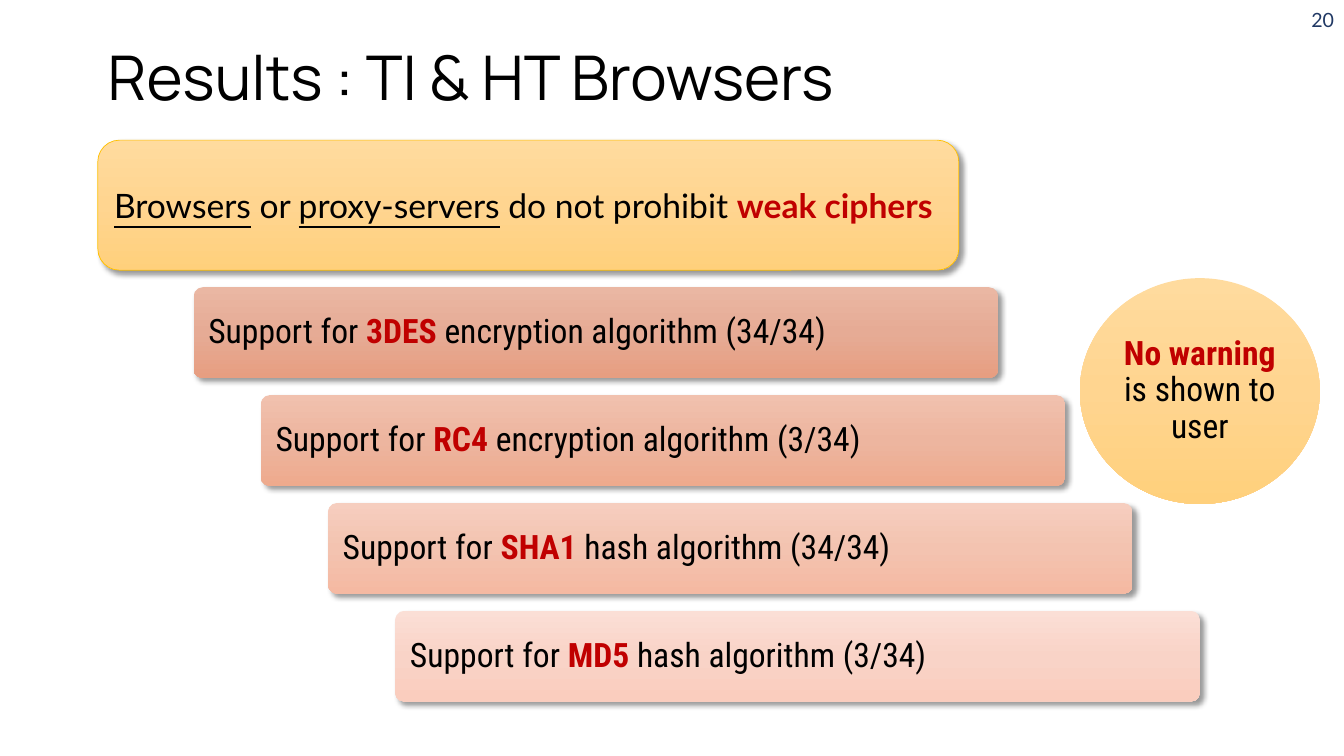
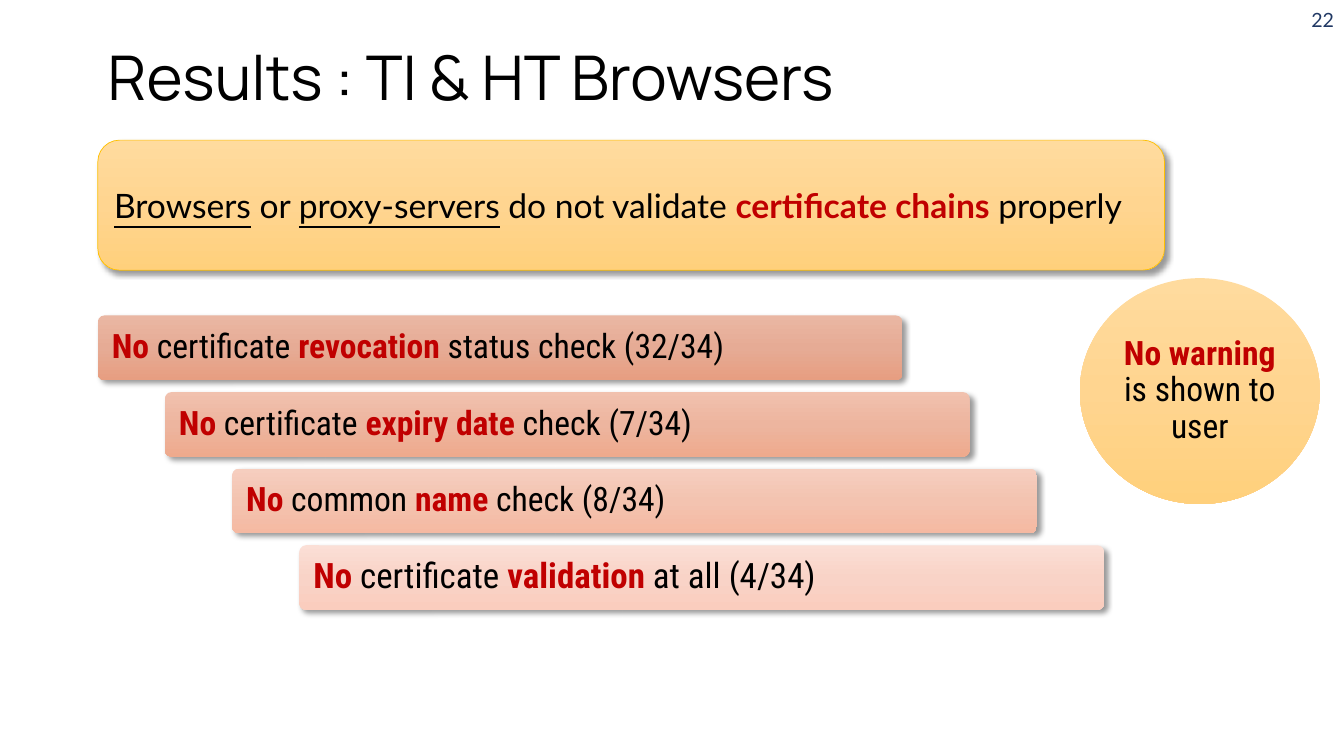
import pptx
import pptx.util
import pptx.dml.color
import pptx.enum.shapes
import pptx.enum.text
import pptx.oxml
import pptx.oxml.ns

Inches = pptx.util.Inches
RGBColor = pptx.dml.color.RGBColor
SHAPE = pptx.enum.shapes.MSO_SHAPE
ALIGN = pptx.enum.text.PP_ALIGN

BLACK = RGBColor(0x00, 0x00, 0x00)
RED = RGBColor(0xC0, 0x00, 0x00)
NAVY = RGBColor(0x20, 0x38, 0x64)
GOLD = RGBColor(0xFF, 0xC0, 0x00)
AMBER_GRADIENT = [RGBColor.from_string(c) for c in ("FFDB9E", "FFD590", "FFD07C")]
BAR_GRADIENTS = [[RGBColor.from_string(c) for c in row] for row in (
    ("EAB7A3", "E6AB95", "E79E81"),
    ("F1C1AE", "EDB59F", "EEAA8D"),
    ("F6CEBF", "F3C3B0", "F5B9A2"),
    ("FBDFD6", "F9D3C7", "FACDBE"),
)]
BAR_STEP_X = 2 / 3
BAR_WIDTH = 7.98
SHADOW = ('<a:outerShdw %s blurRad="50800" dist="38100" dir="2700000" algn="tl" rotWithShape="0">'
          '<a:srgbClr val="000000"><a:alpha val="40000"/></a:srgbClr></a:outerShdw>'
          % pptx.oxml.ns.nsdecls("a"))


def write(shape, runs, font="Roboto Condensed", size=24, color=BLACK,
          align=ALIGN.LEFT, spacing=None, inset_x=0.1, inset_y=0.05):
    """Fill a shape with one paragraph of (text, style) runs; "b" is bold red, "u" underlined."""
    tf = shape.text_frame
    tf.word_wrap = True
    tf.vertical_anchor = pptx.enum.text.MSO_ANCHOR.MIDDLE
    tf.margin_left = tf.margin_right = Inches(inset_x)
    tf.margin_top = tf.margin_bottom = Inches(inset_y)
    p = tf.paragraphs[0]
    p.alignment = align
    if spacing:
        p.line_spacing = spacing
    for text, style in runs:
        r = p.add_run()
        r.text = text
        r.font.name = font
        r.font.size = pptx.util.Pt(size)
        r.font.bold = style == "b"
        r.font.underline = style == "u"
        r.font.color.rgb = RED if style == "b" else color


def add_panel(s, kind, x, y, w, h, gradient, shadow=True):
    """Add a borderless shape with a three-stop vertical gradient."""
    sp = s.shapes.add_shape(kind, Inches(x), Inches(y), Inches(w), Inches(h))
    sp.line.fill.background()
    sp.fill.gradient()
    sp.fill.gradient_angle = 270
    stops = sp.element.spPr.find(".//" + pptx.oxml.ns.qn("a:gsLst"))
    for stop in list(stops):
        stops.remove(stop)
    for i, color in enumerate(gradient):
        stops.append(pptx.oxml.parse_xml(
            '<a:gs %s pos="%d"><a:srgbClr val="%s"/></a:gs>'
            % (pptx.oxml.ns.nsdecls("a"), i * 50000, color)))
    sp.shadow.inherit = False
    if shadow:
        effects = sp.element.spPr.find(pptx.oxml.ns.qn("a:effectLst"))
        effects.append(pptx.oxml.parse_xml(SHADOW))
    return sp


SLIDES = [
    dict(
        number="20", banner_width=8.54,
        finding=[(" do not prohibit ", ""), ("weak ciphers", "b")],
        left=1.92, top=2.85, height=0.9, step_y=1.07,
        bars=[
            (24, [("Support for ", ""), ("3DES", "b"), (" encryption algorithm (34/34)", "")]),
            (24, [("Support for ", ""), ("RC4", "b"), (" encryption algorithm (3/34)", "")]),
            (24, [("Support for ", ""), ("SHA1", "b"), (" hash algorithm (34/34)", "")]),
            (24, [("Support for ", ""), ("MD5", "b"), (" hash algorithm (3/34)", "")]),
        ]),
    dict(
        number="22", banner_width=10.58,
        finding=[(" do not validate ", ""), ("certificate chains", "b"), (" properly", "")],
        left=0.97, top=3.13, height=0.64, step_y=0.76,
        bars=[
            (24, [("No", "b"), (" certificate ", ""), ("revocation", "b"),
                  (" status check (32/34)", "")]),
            (24, [("No", "b"), (" certificate ", ""), ("expiry date", "b"),
                  (" check (7/34)", "")]),
            (24, [("No", "b"), (" common ", ""), ("name", "b"), (" check (8/34)", "")]),
            (25, [("No", "b"), (" certificate ", ""), ("validation", "b"),
                  (" at all (4/34)", "")]),
        ]),
]

prs = pptx.Presentation()
prs.slide_width = Inches(13.33)
prs.slide_height = Inches(7.5)

for page in SLIDES:
    s = prs.slides.add_slide(prs.slide_layouts[6])

    title = s.shapes.add_textbox(Inches(0.97), Inches(0.03), Inches(11.4), Inches(1.53))
    write(title, [("Results : TI & HT Browsers", "")], font="Manrope", size=44, spacing=0.9)

    number = s.shapes.add_textbox(Inches(10.33), Inches(0), Inches(3), Inches(0.4))
    write(number, [(page["number"], "")], font="Lato", size=14, color=NAVY, align=ALIGN.RIGHT)

    for i, (size, runs) in enumerate(page["bars"]):
        bar = add_panel(s, SHAPE.ROUNDED_RECTANGLE, page["left"] + i * BAR_STEP_X,
                        page["top"] + i * page["step_y"], BAR_WIDTH, page["height"],
                        BAR_GRADIENTS[i])
        bar.adjustments[0] = 0.1
        write(bar, runs, size=size, spacing=0.9, inset_x=0.12, inset_y=0.1)

    banner = add_panel(s, SHAPE.ROUNDED_RECTANGLE, 0.97, 1.39, page["banner_width"], 1.29,
                       AMBER_GRADIENT)
    banner.line.color.rgb = GOLD
    banner.line.width = pptx.util.Pt(0.5)
    write(banner, [("Browsers", "u"), (" or ", ""), ("proxy-servers", "u")] + page["finding"],
          font="Lato")

    warning = add_panel(s, SHAPE.OVAL, 10.71, 2.76, 2.38, 2.24, AMBER_GRADIENT, shadow=False)
    write(warning, [("No warning ", "b"), ("is shown to user", "")], align=ALIGN.CENTER,
          spacing=0.9, inset_x=0.03, inset_y=0.03)

prs.save("out.pptx")
